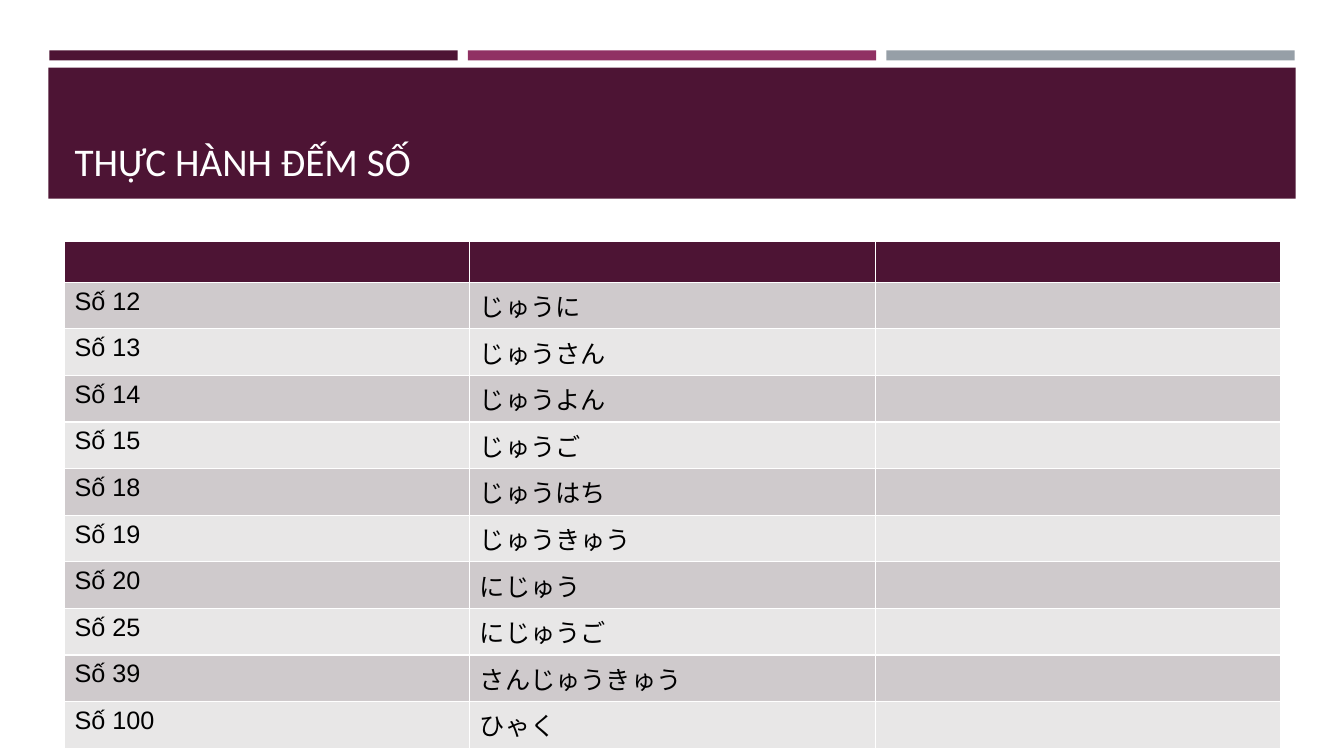
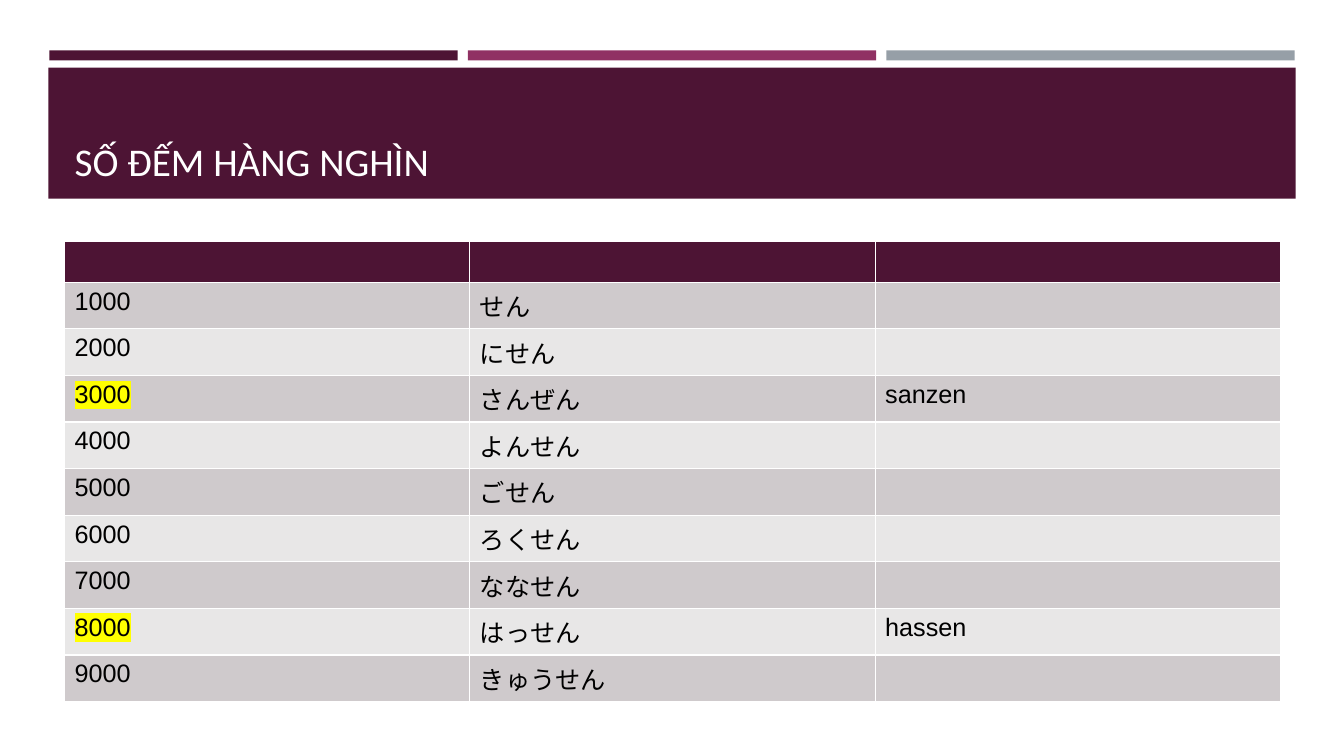
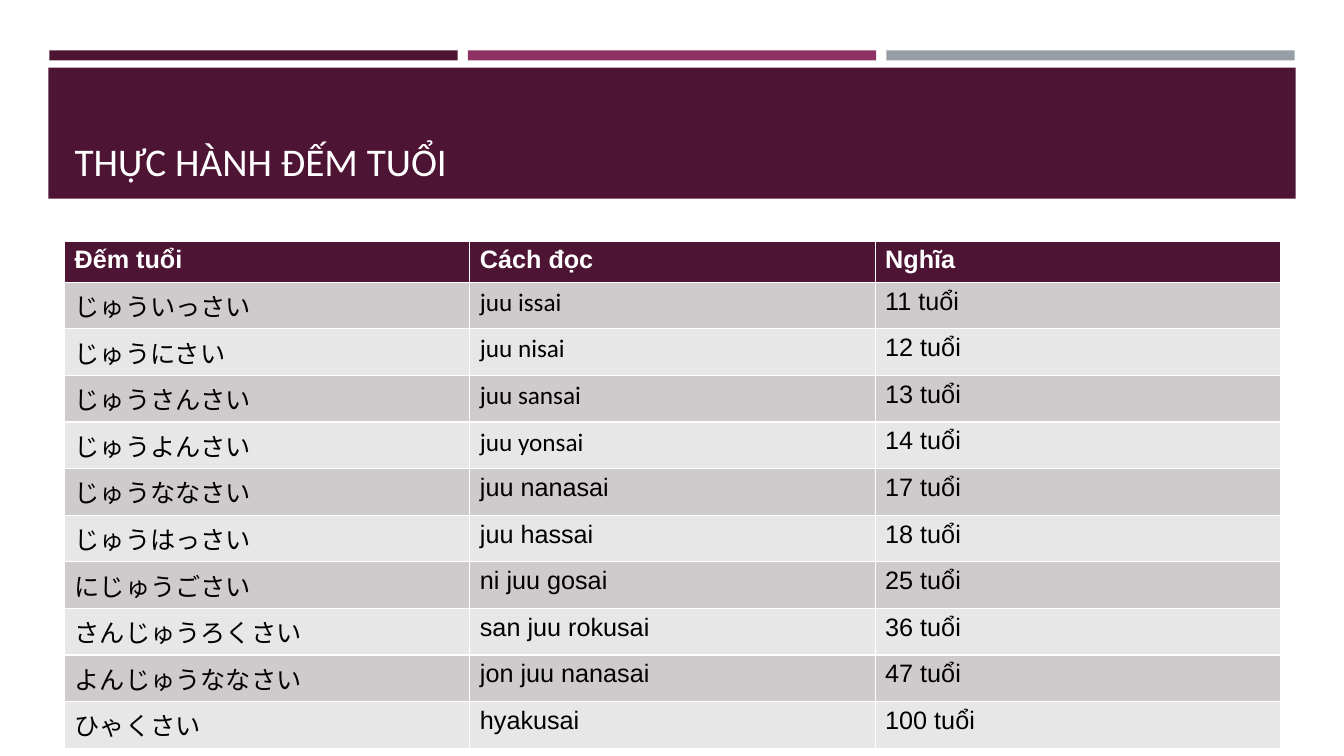
from lxml.etree import SubElement
from pptx import Presentation
from pptx.dml.color import RGBColor
from pptx.enum.shapes import MSO_SHAPE
from pptx.enum.text import MSO_ANCHOR, MSO_AUTO_SIZE, PP_ALIGN
from pptx.oxml.ns import qn
from pptx.util import Inches, Pt

PLUM = RGBColor(0x4D, 0x14, 0x34)
MAGENTA = RGBColor(0x90, 0x31, 0x63)
GRAY = RGBColor(0x96, 0x9F, 0xA7)
DARK_ROW = RGBColor(0xCF, 0xCA, 0xCC)
LIGHT_ROW = RGBColor(0xE8, 0xE7, 0xE7)
WHITE = RGBColor(0xFF, 0xFF, 0xFF)
BLACK = RGBColor(0x00, 0x00, 0x00)
HIGHLIGHT = RGBColor(0xFF, 0xFF, 0x00)

BANDS = [
    (0.49, 0.5, 4.05, 0.1, PLUM),
    (4.64, 0.5, 4.05, 0.1, MAGENTA),
    (8.79, 0.5, 4.05, 0.1, GRAY),
    (0.48, 0.67, 12.37, 1.3, PLUM),
]

COUNTING_ROWS = [
    ("", "", ""),
    ("Số 12", "じゅうに", ""),
    ("Số 13", "じゅうさん", ""),
    ("Số 14", "じゅうよん", ""),
    ("Số 15", "じゅうご", ""),
    ("Số 18", "じゅうはち", ""),
    ("Số 19", "じゅうきゅう", ""),
    ("Số 20", "にじゅう", ""),
    ("Số 25", "にじゅうご", ""),
    ("Số 39", "さんじゅうきゅう", ""),
    ("Số 100", "ひゃく", ""),
]
THOUSAND_ROWS = [
    ("", "", ""),
    ("1000", "せん", ""),
    ("2000", "にせん", ""),
    ("3000", "さんぜん", "sanzen"),
    ("4000", "よんせん", ""),
    ("5000", "ごせん", ""),
    ("6000", "ろくせん", ""),
    ("7000", "ななせん", ""),
    ("8000", "はっせん", "hassen"),
    ("9000", "きゅうせん", ""),
]
AGE_ROWS = [
    ("Đếm tuổi", "Cách đọc", "Nghĩa"),
    ("じゅういっさい", "juu issai", "11 tuổi"),
    ("じゅうにさい", "juu nisai", "12 tuổi"),
    ("じゅうさんさい", "juu sansai", "13 tuổi"),
    ("じゅうよんさい", "juu yonsai", "14 tuổi"),
    ("じゅうななさい", "juu nanasai", "17 tuổi"),
    ("じゅうはっさい", "juu hassai", "18 tuổi"),
    ("にじゅうごさい", "ni juu gosai", "25 tuổi"),
    ("さんじゅうろくさい", "san juu rokusai", "36 tuổi"),
    ("よんじゅうななさい", "jon juu nanasai", "47 tuổi"),
    ("ひゃくさい", "hyakusai", "100 tuổi"),
]

THOUSAND_CALIBRI = {(row, 1) for row in range(1, 10) if row != 8}
AGE_CALIBRI = {(row, column) for row in range(1, 5) for column in (0, 1)} | {(10, 0)}
IRREGULAR_NUMBERS = {"3000", "8000"}

SLIDES = [
    ("THỰC HÀNH ĐẾM SỐ", COUNTING_ROWS, set()),
    ("SỐ ĐẾM HÀNG NGHÌN", THOUSAND_ROWS, THOUSAND_CALIBRI),
    ("THỰC HÀNH ĐẾM TUỔI", AGE_ROWS, AGE_CALIBRI),
]


def add_bands(slide, layout):
    for placeholder in list(layout.placeholders)[1:]:
        placeholder._element.getparent().remove(placeholder._element)
    for index, (left, top, width, height, color) in enumerate(BANDS):
        band = slide.shapes.add_shape(
            MSO_SHAPE.RECTANGLE, Inches(left), Inches(top), Inches(width), Inches(height))
        band.shadow.inherit = False
        band.fill.solid()
        band.fill.fore_color.rgb = color
        band.line.fill.background()
    for index, band in enumerate(list(slide.shapes)[1:]):
        layout.shapes._spTree.insert(2 + index, band._element)


def highlight_run(run):
    highlight = SubElement(run._r.get_or_add_rPr(), qn("a:highlight"))
    SubElement(highlight, qn("a:srgbClr"), val=str(HIGHLIGHT))


presentation = Presentation()
presentation.slide_width = Inches(13.33)
presentation.slide_height = Inches(7.5)
layout = presentation.slide_layouts[5]

for number, (heading, rows, calibri_cells) in enumerate(SLIDES):
    slide = presentation.slides.add_slide(layout)
    if number == 0:
        add_bands(slide, layout)

    title = slide.shapes.title
    title.left, title.top = Inches(0.64), Inches(0.77)
    title.width, title.height = Inches(12.06), Inches(1.11)
    title.text_frame.text = heading
    title.text_frame.vertical_anchor = MSO_ANCHOR.BOTTOM
    title.text_frame.auto_size = MSO_AUTO_SIZE.NONE
    paragraph = title.text_frame.paragraphs[0]
    paragraph.alignment = PP_ALIGN.LEFT
    paragraph.font.name = "Calibri"
    paragraph.font.size = Pt(28)
    paragraph.font.color.rgb = WHITE

    table = slide.shapes.add_table(
        len(rows), 3, Inches(0.64), Inches(2.39), Inches(12.06), Inches(0.41 * len(rows))).table
    for row_index, row in enumerate(rows):
        header = row_index == 0
        fill_color = PLUM if header else DARK_ROW if row_index % 2 else LIGHT_ROW
        for column_index, text in enumerate(row):
            cell = table.cell(row_index, column_index)
            cell.fill.solid()
            cell.fill.fore_color.rgb = fill_color
            if not text:
                continue
            cell.text = text
            paragraph = cell.text_frame.paragraphs[0]
            paragraph.font.name = "Calibri" if (row_index, column_index) in calibri_cells else "Arial"
            paragraph.font.size = Pt(18)
            paragraph.font.bold = header
            paragraph.font.color.rgb = WHITE if header else BLACK
            if text in IRREGULAR_NUMBERS:
                highlight_run(paragraph.runs[0])

presentation.save("out.pptx")
